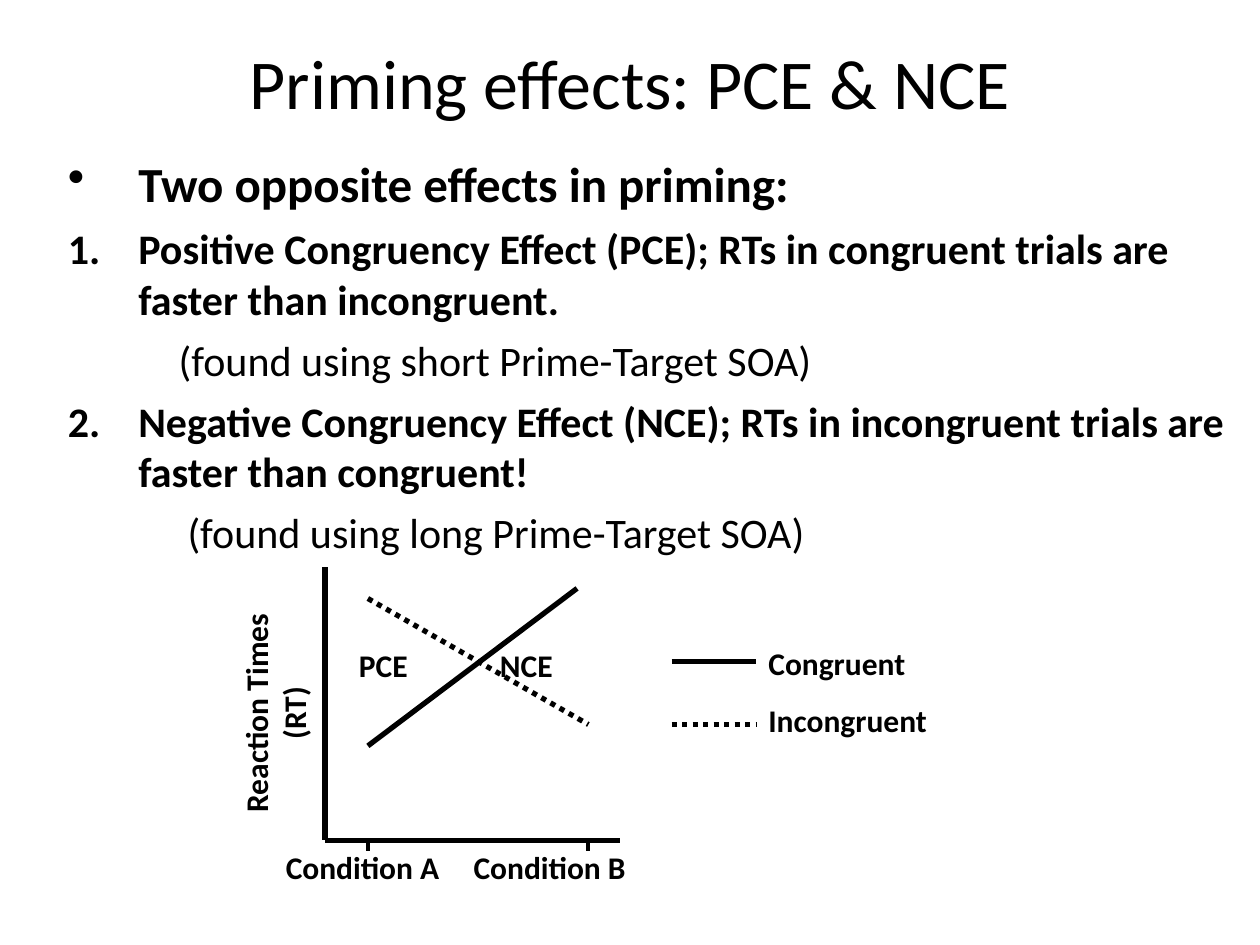
from lxml import etree
from pptx import Presentation, util as u
from pptx.dml.color import RGBColor
from pptx.enum import dml, shapes, text
from pptx.oxml import ns

COLORS = {"ink": "000000", "paper": "FFFFFF"}
FONT = "Calibri"


class Deck:
    def __init__(self, slide):
        self.slide = slide
        self.ink = RGBColor.from_string(COLORS["ink"])
        background = slide.background.fill
        background.solid()
        background.fore_color.rgb = RGBColor.from_string(COLORS["paper"])

    def line(self, start, end, width=3, dotted=False):
        connector = self.slide.shapes.add_connector(
            shapes.MSO_CONNECTOR.STRAIGHT, *map(u.Inches, start + end))
        connector.line.color.rgb = self.ink
        connector.line.width = u.Pt(width)
        if dotted:
            connector.line.dash_style = dml.MSO_LINE.ROUND_DOT
        etree.SubElement(connector._element.spPr, ns.qn("a:effectLst"))

    def box(self, left, top, width, height, grow=False):
        shape = self.slide.shapes.add_textbox(
            *map(u.Inches, (left, top, width, height)))
        frame = shape.text_frame
        frame.word_wrap = True
        if grow:
            frame.auto_size = text.MSO_AUTO_SIZE.SHAPE_TO_FIT_TEXT
        return shape

    def style(self, paragraph, words, size, bold, before=0):
        paragraph.text = words
        paragraph.space_before = u.Pt(before)
        font = paragraph.font
        font.name, font.size, font.bold = FONT, u.Pt(size), bold
        font.color.rgb = self.ink

    def title(self, words):
        frame = self.box(0.5, 0.17, 9, 0.95).text_frame
        frame.vertical_anchor = text.MSO_ANCHOR.MIDDLE
        self.style(frame.paragraphs[0], words, 40, False)
        frame.paragraphs[0].alignment = text.PP_ALIGN.CENTER

    def body(self, items):
        """Each item is words, size, bold, space before, margin, first-line indent, bullet."""
        frame = self.box(0, 1.17, 10, 2.83).text_frame
        for index, (words, size, bold, before, margin, indent, bullet) in enumerate(items):
            paragraph = frame.add_paragraph() if index else frame.paragraphs[0]
            self.style(paragraph, words, size, bold, before)
            properties = paragraph._p.get_or_add_pPr()
            properties.set("marL", str(u.Inches(margin)))
            properties.set("indent", str(u.Inches(indent)))
            if bullet:
                mark = etree.Element(ns.qn("a:buChar"), char=bullet)
                properties.find(ns.qn("a:defRPr")).addprevious(mark)

    def label(self, left, top, width, height, lines, tab=None, rotation=0):
        """Bold chart caption; tab is the stop that places a second word."""
        shape = self.box(left, top, width, height, grow=True)
        shape.rotation = rotation
        frame = shape.text_frame
        for index, words in enumerate(lines):
            paragraph = frame.add_paragraph() if index else frame.paragraphs[0]
            self.style(paragraph, words, 18, True, 11.2)
            if rotation:
                paragraph.alignment = text.PP_ALIGN.CENTER
            if tab:
                stops = etree.Element(ns.qn("a:tabLst"))
                etree.SubElement(stops, ns.qn("a:tab"), pos=str(u.Inches(tab)), algn="l")
                paragraph._p.pPr.find(ns.qn("a:defRPr")).addprevious(stops)


def main():
    presentation = Presentation()
    presentation.slide_width, presentation.slide_height = u.Inches(10), u.Inches(7.5)
    deck = Deck(presentation.slides.add_slide(presentation.slide_layouts[6]))

    deck.title("Priming effects: PCE & NCE")
    hanging = (1, -0.56)
    deck.body([
        ("Two opposite effects in priming:", 28, True, 7, *hanging, "•"),
        ("1.\tPositive Congruency Effect (PCE); RTs in congruent trials are "
         "faster than incongruent.", 24, True, 6, *hanging, None),
        ("(found using short Prime-Target SOA)", 24, False, 6, 1.32, 0, None),
        ("2.\tNegative Congruency Effect (NCE); RTs in incongruent trials are "
         "faster than congruent!", 24, True, 6, *hanging, None),
        ("(found using long Prime-Target SOA)", 24, False, 6, 1.39, 0, None),
    ])

    axis_x, axis_y = 2.58, 6.67
    condition_a, condition_b = 2.92, 4.67
    deck.line((axis_x, 4.5), (axis_x, axis_y))
    deck.line((axis_x, axis_y), (4.92, axis_y))
    deck.line((condition_a, 4.75), (condition_b, 5.75), dotted=True)
    deck.line((condition_a, 5.92), (4.58, 4.67))
    deck.label(1.18, 5.31, 2, 0.7, ["Reaction Times (RT)"], rotation=270)
    deck.label(2.75, 5.08, 2.33, 0.4, ["PCE\tNCE"], tab=1.12)

    for legend_y, dotted in ((5.25, False), (5.75, True)):
        deck.line((5.33, legend_y), (6, legend_y), dotted=dotted)
    deck.label(6, 5.06, 2.33, 0.86, ["Congruent", "Incongruent"])

    deck.label(2.17, 6.68, 3.67, 0.4, ["Condition A\tCondition B"], tab=1.49)
    for tick_x in (condition_a, condition_b):
        deck.line((tick_x, axis_y), (tick_x, 6.75), width=2.25)

    presentation.save("out.pptx")


if __name__ == "__main__":
    main()
